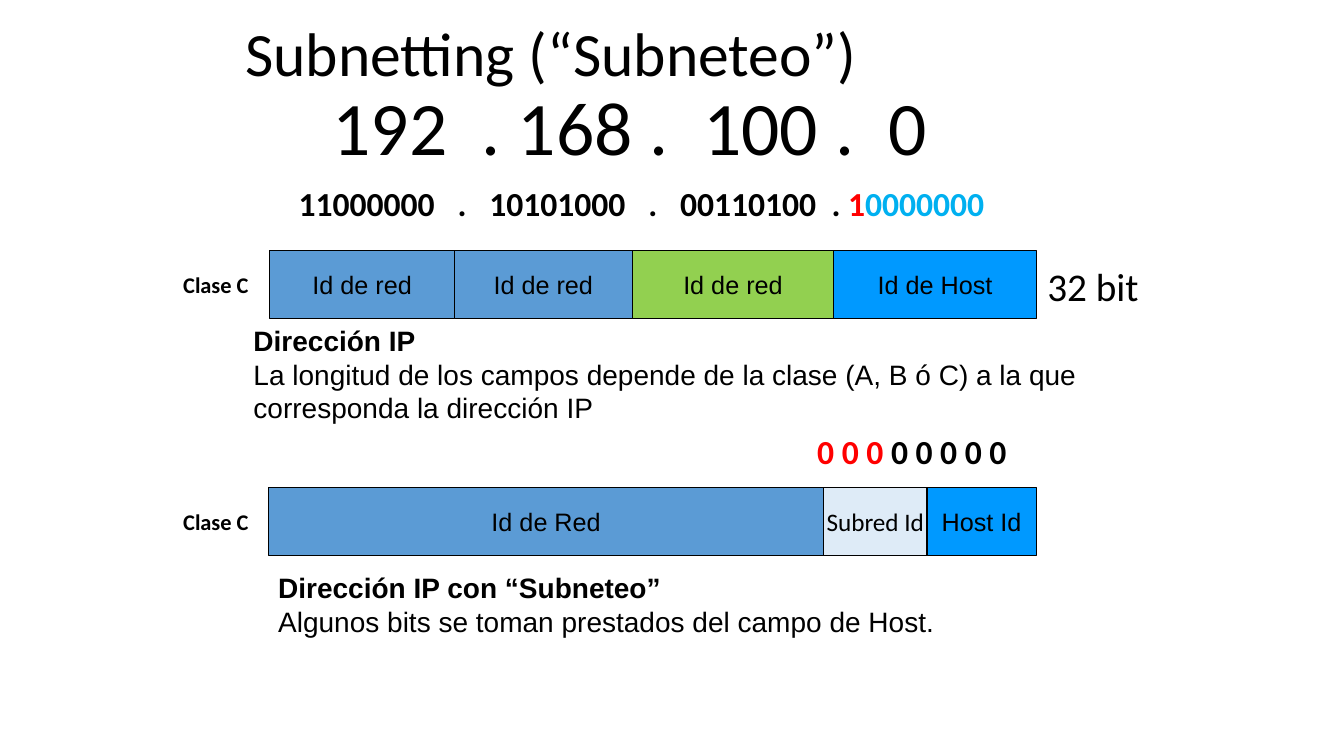
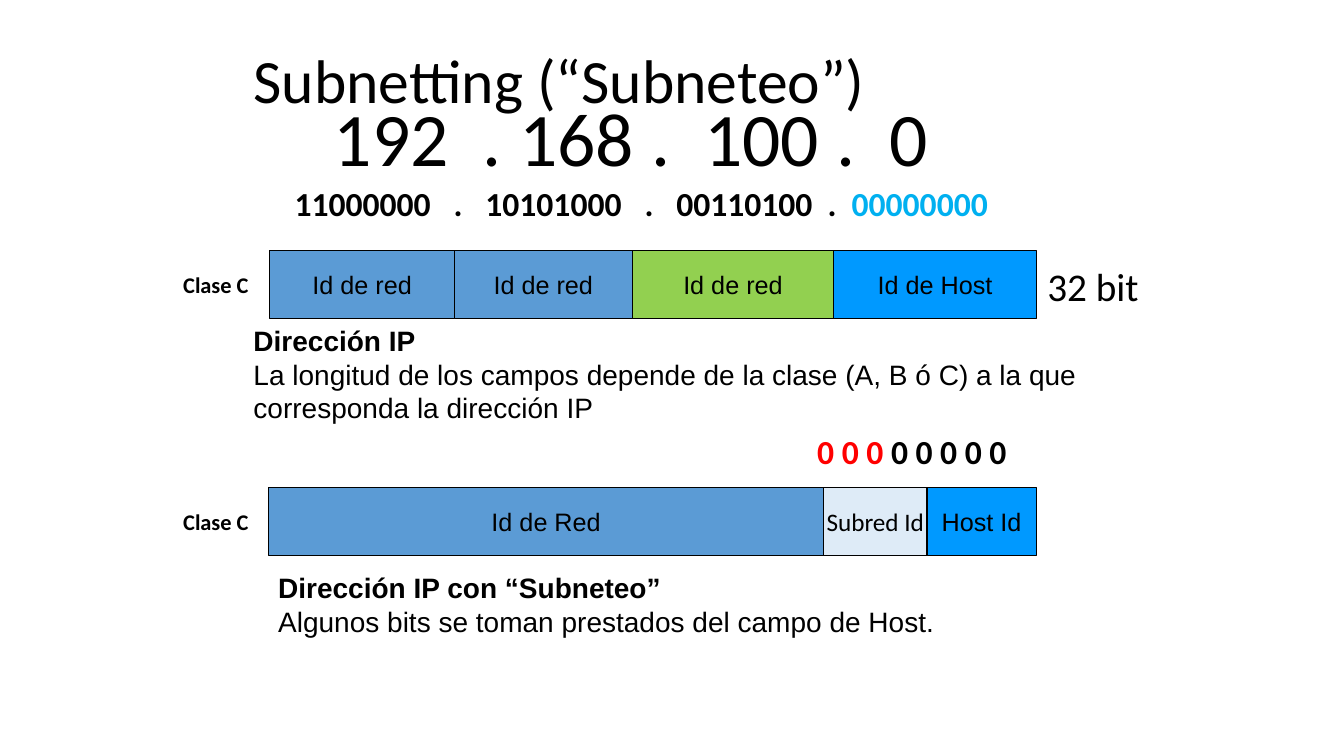
"""Build two slides that explain subnetting of a class C address."""
import pptx
import pptx.dml.color
import pptx.enum.shapes
import pptx.enum.text
import pptx.oxml.ns
import pptx.util
from lxml import etree

Pt = pptx.util.Pt
RGBColor = pptx.dml.color.RGBColor
MIDDLE = pptx.enum.text.MSO_ANCHOR.MIDDLE
CENTER = pptx.enum.text.PP_ALIGN.CENTER

BLACK = RGBColor(0x00, 0x00, 0x00)
RED = RGBColor(0xFF, 0x00, 0x00)
SKY = RGBColor(0x00, 0xB0, 0xF0)
NETWORK_BLUE = RGBColor(0x5B, 0x9B, 0xD5)
HOST_BLUE = RGBColor(0x00, 0x99, 0xFF)
GREEN = RGBColor(0x92, 0xD0, 0x50)
PALE_BLUE = RGBColor(0xDE, 0xEB, 0xF7)

BODY_FONT = "Arial"
LABEL_FONT = "Calibri"
FIELD_HEIGHT = 48.4

ADDRESS_FIELDS = [
    ("Id de red", 131.8, NETWORK_BLUE, BODY_FONT),
    ("Id de red", 127, NETWORK_BLUE, BODY_FONT),
    ("Id de red", 144, GREEN, BODY_FONT),
    ("Id de Host", 144.6, HOST_BLUE, BODY_FONT),
]
SUBNET_FIELDS = [
    ("Id de Red", 396.6, NETWORK_BLUE, BODY_FONT),
    ("Subred Id", 73.8, PALE_BLUE, LABEL_FONT),
    ("Host Id", 78, HOST_BLUE, BODY_FONT),
]


def style_paragraph(para, size, name=LABEL_FONT, bold=False):
    """Set the font that all runs of a paragraph share."""
    para.font.size = Pt(size)
    para.font.name = name
    para.font.bold = bold
    para.font.color.rgb = BLACK


def add_box(page, left, top, width, height):
    """Add an empty wrapping text box and return its text frame."""
    frame = page.shapes.add_textbox(Pt(left), Pt(top), Pt(width), Pt(height)).text_frame
    frame.word_wrap = True
    return frame


def add_label(page, left, top, width, height, spans, size, bold=False):
    """Add one line of text made of (text, colour) spans."""
    para = add_box(page, left, top, width, height).paragraphs[0]
    style_paragraph(para, size, bold=bold)
    for text, colour in spans:
        span = para.add_run()
        span.text = text
        span.font.color.rgb = colour
    return para


def set_tabs(para, positions):
    """Give a paragraph left tab stops at the positions."""
    tabs = etree.SubElement(para._p.get_or_add_pPr(), pptx.oxml.ns.qn("a:tabLst"))
    for position in positions:
        etree.SubElement(tabs, pptx.oxml.ns.qn("a:tab"), pos=str(Pt(position)), algn="l")
    default_font = para._p.pPr.find(pptx.oxml.ns.qn("a:defRPr"))
    if default_font is not None:
        default_font.addprevious(tabs)


def add_title(page, left, top):
    """Add the slide title."""
    frame = add_box(page, left, top, 612, 72)
    frame.vertical_anchor = MIDDLE
    para = frame.paragraphs[0]
    para.text = "Subnetting (“Subneteo”)"
    para.line_spacing = 0.9
    style_paragraph(para, 44)


def add_caption(page, left, top, width, height, heading, body):
    """Add a bold heading with a plain sentence below it."""
    frame = add_box(page, left, top, width, height)
    for para, text, bold in (
        (frame.paragraphs[0], heading, True),
        (frame.add_paragraph(), body, False),
    ):
        para.text = text
        style_paragraph(para, 20, BODY_FONT, bold)


def add_field_row(page, left, top, fields):
    """Add the class label and adjoining address fields."""
    add_label(page, 123.8, top + 10.8, 66, 26.6, [("Clase C", BLACK)], 16, True)
    for text, width, fill, name in fields:
        field = page.shapes.add_shape(
            pptx.enum.shapes.MSO_SHAPE.RECTANGLE,
            Pt(left), Pt(top), Pt(width), Pt(FIELD_HEIGHT))
        field.shadow.inherit = False
        field.fill.solid()
        field.fill.fore_color.rgb = fill
        field.line.color.rgb = BLACK
        field.line.width = Pt(0.75)
        frame = field.text_frame
        frame.word_wrap = False
        frame.vertical_anchor = MIDDLE
        para = frame.paragraphs[0]
        para.text = text
        para.alignment = CENTER
        style_paragraph(para, 18, name)
        left += width


def add_subnet_page(deck, title_at, address_at, bits_left, last_octet, last_tab):
    """Add a slide for one state of the last octet."""
    page = deck.slides.add_slide(deck.slide_layouts[6])
    add_title(page, *title_at)
    address = add_label(page, *address_at, 460, 72.6,
                        [("192\t.\t168\t.\t100\t.\t0", BLACK)], 54)
    set_tabs(address, [106.5, 132.3, 226.6, 264.7, 359, 397])
    bits = add_label(page, bits_left, 127.2, 540, 36.4,
                     [("11000000\t.\t10101000\t.\t00110100\t.\t", BLACK)] + last_octet,
                     24, True)
    set_tabs(bits, [113.6, 136.3, 249.9, 272.6, 380.7, last_tab])
    add_field_row(page, 192.8, 179.2, ADDRESS_FIELDS)
    add_label(page, 741, 183.6, 90, 41.2, [("32 bit", BLACK)], 28)
    add_caption(page, 174, 227.6, 636.6, 80, "Dirección IP",
                "La longitud de los campos depende de la clase (A, B ó C) "
                "a la que corresponda la dirección IP")
    add_label(page, 576.6, 304.4, 170, 36.4,
              [("0 0 0 ", RED), ("0 0 0 0 0", BLACK)], 24, True)
    add_field_row(page, 191.8, 348.4, SUBNET_FIELDS)
    add_caption(page, 191.6, 404, 564.4, 55.6, "Dirección IP con “Subneteo”",
                "Algunos bits se toman prestados del campo de Host.")


def main():
    """Build and save the deck."""
    deck = pptx.Presentation()
    deck.slide_width = Pt(960)
    deck.slide_height = Pt(540)
    add_subnet_page(deck, (168, 4.2), (230.6, 53.2), 206.2,
                    [("1", RED), ("0000000", SKY)], 392.5)
    add_subnet_page(deck, (174, 23.8), (231.4, 61.2), 203.4,
                    [("00000000", SKY)], 397.9)
    deck.save("out.pptx")


if __name__ == "__main__":
    main()
